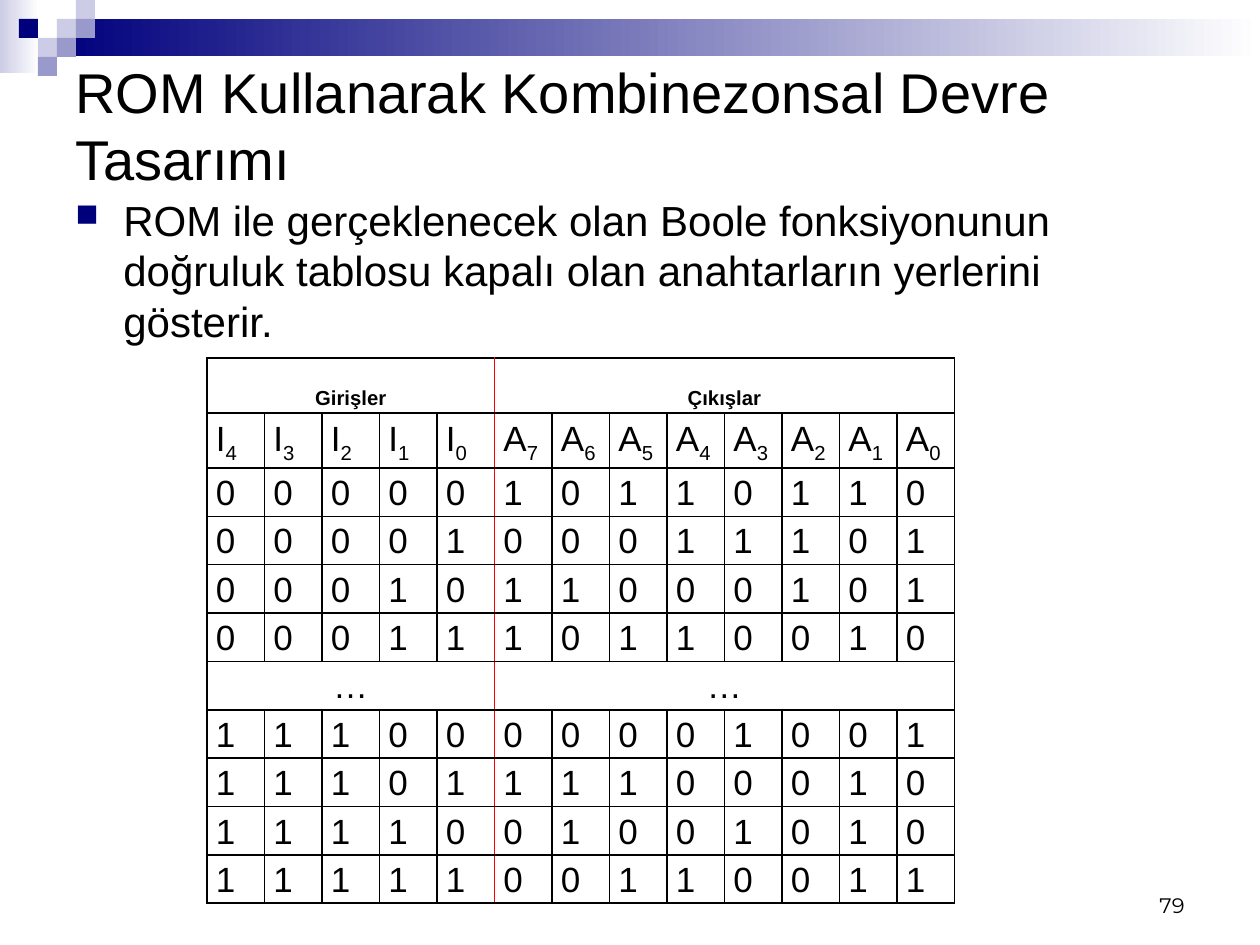
import pptx
import pptx.util
import pptx.dml.color
import pptx.enum.shapes
import pptx.enum.text
import pptx.oxml.ns
from lxml import etree

# Content
TITLE = "ROM Kullanarak Kombinezonsal Devre Tasarımı"
BODY = ("ROM ile gerçeklenecek olan Boole fonksiyonunun doğruluk tablosu "
        "kapalı olan anahtarların yerlerini gösterir.")
PAGE = "79"
INS, OUTS = 5, 8
HEADS = ("Girişler", "Çıkışlar")
NAMES = [("I", n) for n in reversed(range(INS))] + [("A", n) for n in reversed(range(OUTS))]
DOTS = ("…", "…")
FIRST = ["0000010110110", "0000100011101", "0001011000101", "0001110110010"]
LAST = ["1110000001001", "1110111100010", "1111001001010", "1111100110011"]
ROWS = [HEADS, NAMES, *FIRST, DOTS, *LAST]

THEME = {
    "navy": "00007D", "mid": "9999CC", "pale": "CCCCE6", "white": "FFFFFF",
    "ink": "000000", "split": "FF0000",
    "font": "Arial", "num": "Montserrat",
    "title": 32, "body": 24, "cell": 20, "page": 12,
}

# Header bands and squares: left, top, width, height in px, then colours
BANDS = [(0, 0, 39, 73, "pale"), (57, 19, 1203, 37, "navy")]
SIDE = 19
TILES = [(3, 1, "pale"), (4, 0, "pale"), (4, 1, "mid"), (2, 2, "pale"),
         (1, 1, "navy"), (3, 2, "mid"), (2, 3, "mid")]

ALIGN = pptx.enum.text.PP_ALIGN
ANCHOR = pptx.enum.text.MSO_ANCHOR


def px(n):
    return pptx.util.Emu(round(n * 914400 / 126))


def rgb(name):
    return pptx.dml.color.RGBColor.from_string(THEME[name])


def write(frame, text, size="cell", font="font", bold=False, align=ALIGN.LEFT,
          sub=None, base=0, gap=None, bullet=False):
    """Fill a text frame; sub is a trailing subscript."""
    para = frame.paragraphs[0]
    para.alignment = align
    if gap:
        para.line_spacing = gap
    if bullet:
        props = para._p.get_or_add_pPr()
        props.set("marL", str(px(48)))
        props.set("indent", str(-px(48)))
        color = etree.SubElement(props, pptx.oxml.ns.qn("a:buClr"))
        etree.SubElement(color, pptx.oxml.ns.qn("a:srgbClr"), val=THEME["navy"])
        etree.SubElement(props, pptx.oxml.ns.qn("a:buSzPct"), val="75000")
        etree.SubElement(props, pptx.oxml.ns.qn("a:buChar"), char="■")
    parts = [(text, base)] + ([(sub, -25000)] if sub is not None else [])
    for part, shift in parts:
        run = para.add_run()
        run.text = part
        run.font.name = THEME[font]
        run.font.size = pptx.util.Pt(THEME[size])
        run.font.bold = bold
        run.font.color.rgb = rgb("ink")
        if shift:
            run.font._element.set("baseline", str(shift))


def box(slide, left, top, width, height, text, anchor, **fmt):
    frame = slide.shapes.add_textbox(*map(px, (left, top, width, height))).text_frame
    frame.word_wrap = True
    frame.vertical_anchor = anchor
    write(frame, text, **fmt)


def block(slide, left, top, width, height, color, fade=False):
    shape = slide.shapes.add_shape(pptx.enum.shapes.MSO_SHAPE.RECTANGLE,
                                   *map(px, (left, top, width, height)))
    shape.shadow.inherit = False
    shape.line.fill.background()
    if fade:
        shape.fill.gradient()
        shape.fill.gradient_angle = 0
        for stop, name in zip(shape.fill.gradient_stops, (color, "white")):
            stop.color.rgb = rgb(name)
    else:
        shape.fill.solid()
        shape.fill.fore_color.rgb = rgb(color)


def edge(cell, col):
    """Draw the four borders, red where inputs meet outputs."""
    cell.fill.background()
    props = cell._tc.get_or_add_tcPr()
    for spot, side in enumerate("LRTB"):
        red = (side, col) in (("R", INS - 1), ("L", INS))
        line = etree.Element(pptx.oxml.ns.qn("a:ln" + side), w="12700")
        fill = etree.SubElement(line, pptx.oxml.ns.qn("a:solidFill"))
        etree.SubElement(fill, pptx.oxml.ns.qn("a:srgbClr"),
                         val=THEME["split" if red else "ink"])
        props.insert(spot, line)


def grid(slide):
    count = INS + OUTS
    high = [51, 51] + [45] * (len(ROWS) - 2)
    table = slide.shapes.add_table(len(ROWS), count, px(207), px(358),
                                   px(748), px(sum(high))).table
    table.first_row = table.horz_banding = False
    for col in table.columns:
        col.width = px(748 / count)
    for r, row in enumerate(ROWS):
        table.rows[r].height = px(high[r])
        for c in range(count):
            cell = table.cell(r, c)
            cell.margin_left = cell.margin_right = px(9)
            cell.margin_top = cell.margin_bottom = 0
            edge(cell, c)
        if len(row) == 2:
            table.cell(r, 0).merge(table.cell(r, INS - 1))
            table.cell(r, INS).merge(table.cell(r, count - 1))
            head = row is HEADS
            for c, text in zip((0, INS), row):
                write(table.cell(r, c).text_frame, text, bold=head, gap=1.15,
                      align=ALIGN.CENTER, base=-25000 if head else 0)
        else:
            for c, item in enumerate(row):
                sub = str(item[1]) if row is NAMES else None
                write(table.cell(r, c).text_frame, item[0], sub=sub, gap=1.15)


def main():
    deck = pptx.Presentation()
    deck.slide_width, deck.slide_height = px(1260), px(945)
    slide = deck.slides.add_slide(deck.slide_layouts[6])

    # Header decoration
    for *area, color in BANDS:
        block(slide, *area, color, fade=True)
    for col, row, color in TILES:
        block(slide, col * SIDE, row * SIDE, SIDE, SIDE, color)

    # Text
    box(slide, 63, 42, 1134, 166, TITLE, ANCHOR.MIDDLE, size="title")
    box(slide, 63, 188, 1134, 156, BODY, ANCHOR.TOP, size="body", bullet=True)
    box(slide, 903, 861, 294, 63, PAGE, ANCHOR.BOTTOM, size="page", font="num",
        align=ALIGN.RIGHT)

    # Truth table
    grid(slide)
    deck.save("out.pptx")


if __name__ == "__main__":
    main()
